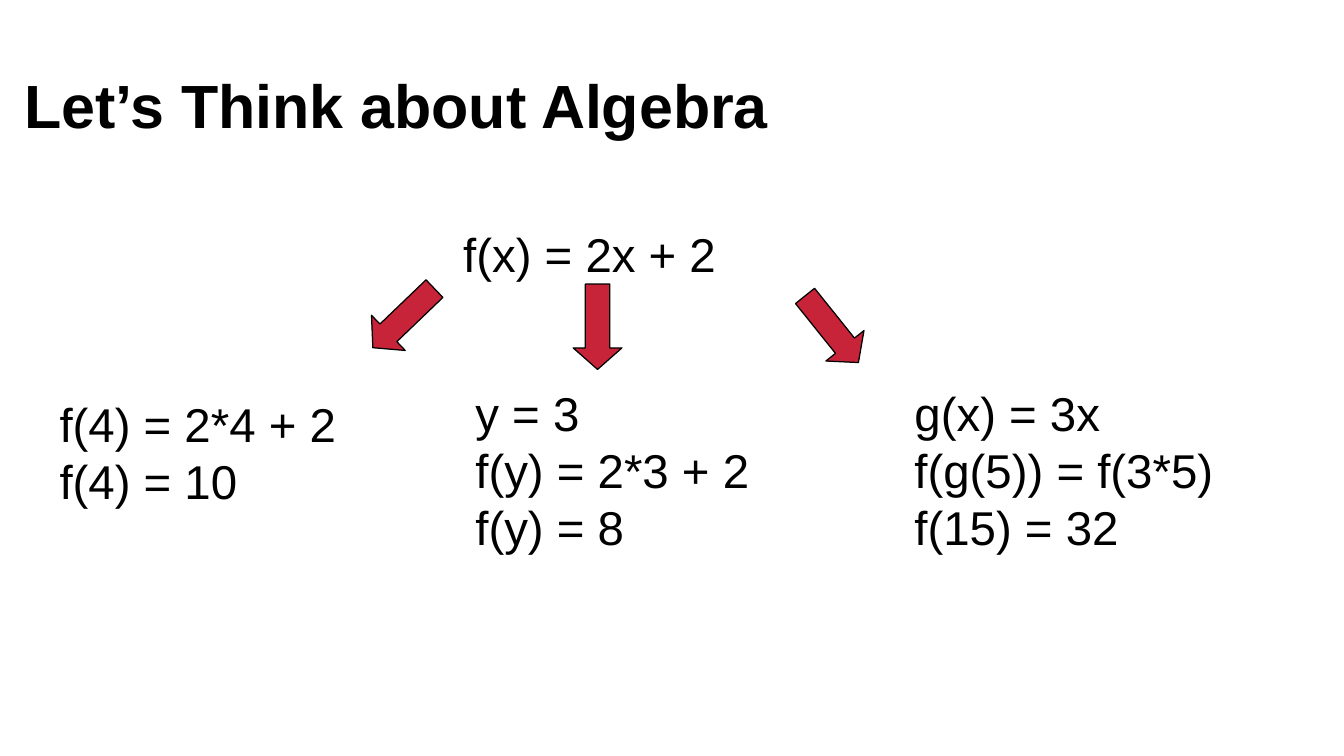
from dataclasses import dataclass

from pptx import Presentation
from pptx.dml.color import RGBColor
from pptx.enum.shapes import MSO_SHAPE
from pptx.enum.text import MSO_ANCHOR, PP_ALIGN
from pptx.util import Emu, Pt

EMU_PER_PX = 9144  # 100 px to the inch
FONT = "Arial"
BLACK = "000000"
RED = "C7243A"
ARROW_WIDTH, ARROW_HEIGHT = 40, 70


@dataclass
class Formula:
    left: int
    top: int
    width: int
    height: int
    text: str


@dataclass
class Arrow:
    left: int
    top: int
    rotation: float


FORMULAS = [
    Formula(370, 180, 240, 53, "f(x) = 2x + 2"),
    Formula(39, 319, 250, 97, "f(4) = 2*4 + 2\nf(4) = 10"),
    Formula(380, 310, 250, 140, "y = 3\nf(y) = 2*3 + 2\nf(y) = 8"),
    Formula(740, 310, 350, 183, "g(x) = 3x\nf(g(5)) = f(3*5)\nf(15) = 32"),
]
ARROWS = [Arrow(311, 226, 46.2), Arrow(470, 233, 0), Arrow(662, 235, 321.3)]


def px(length: int) -> Emu:
    return Emu(length * EMU_PER_PX)


def color(value: str) -> RGBColor:
    return RGBColor.from_string(value)


def write_text(shape, text: str, size: int, bold: bool = False) -> None:
    frame = shape.text_frame
    frame.text = text
    frame.word_wrap = True
    frame.vertical_anchor = MSO_ANCHOR.TOP
    frame.margin_left = frame.margin_right = px(10)
    frame.margin_top = frame.margin_bottom = px(5)
    for paragraph in frame.paragraphs:
        paragraph.alignment = PP_ALIGN.LEFT
        paragraph.line_spacing = 1.0
        paragraph.space_before = Pt(0)
        for run in paragraph.runs:
            run.font.name = FONT
            run.font.size = Pt(size)
            run.font.bold = bold
            run.font.color.rgb = color(BLACK)


def add_formula(slide, formula: Formula) -> None:
    shape = slide.shapes.add_textbox(
        px(formula.left), px(formula.top), px(formula.width), px(formula.height)
    )
    write_text(shape, formula.text, 28)


def add_arrow(slide, arrow: Arrow) -> None:
    shape = slide.shapes.add_shape(
        MSO_SHAPE.DOWN_ARROW,
        px(arrow.left), px(arrow.top), px(ARROW_WIDTH), px(ARROW_HEIGHT),
    )
    shape.adjustments[0] = 0.5
    shape.adjustments[1] = 0.44
    shape.rotation = arrow.rotation
    shape.shadow.inherit = False
    shape.fill.solid()
    shape.fill.fore_color.rgb = color(RED)
    shape.line.color.rgb = color(BLACK)
    shape.line.width = Pt(0)


def main() -> None:
    presentation = Presentation()
    presentation.slide_width, presentation.slide_height = px(1102), px(620)
    slide = presentation.slides.add_slide(presentation.slide_layouts[5])

    # Title
    title = slide.shapes.title
    title.left, title.top, title.width, title.height = px(10), px(50), px(1020), px(66)
    write_text(title, "Let’s Think about Algebra", 36, bold=True)

    # Function and its three uses
    for formula in FORMULAS:
        add_formula(slide, formula)

    # Arrows from the function to each use
    for arrow in ARROWS:
        add_arrow(slide, arrow)

    presentation.save("out.pptx")


if __name__ == "__main__":
    main()
